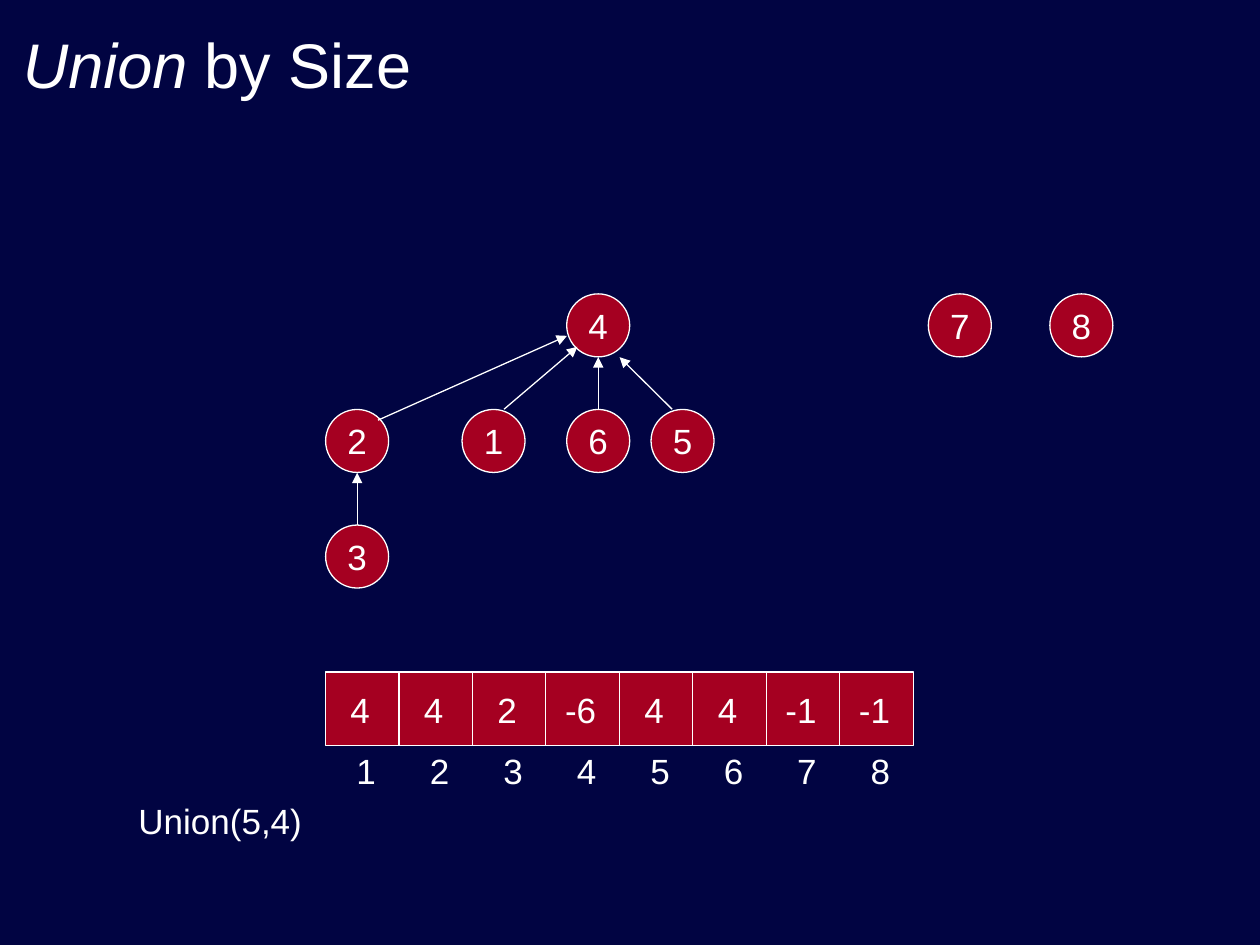
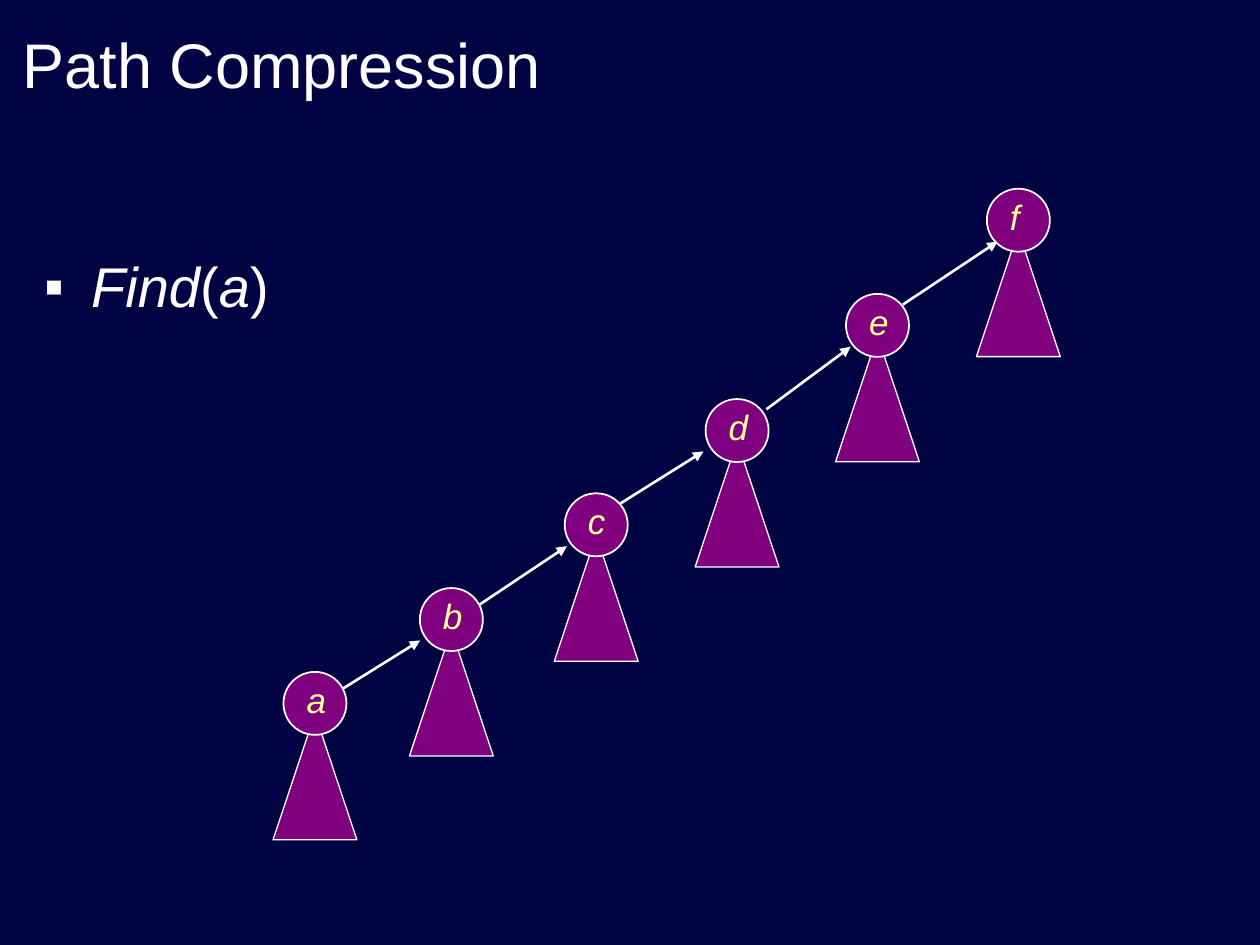
"""Build two slides on disjoint sets: union by size and path compression."""
from lxml import etree
from pptx import Presentation
from pptx.dml.color import RGBColor
from pptx.enum.shapes import MSO_CONNECTOR, MSO_SHAPE
from pptx.enum.text import MSO_ANCHOR, PP_ALIGN
from pptx.oxml.ns import qn
from pptx.util import Cm, Pt

NAVY = RGBColor(0x01, 0x04, 0x42)
WHITE = RGBColor(0xFF, 0xFF, 0xFF)
RED = RGBColor(0xA5, 0x00, 0x21)
PURPLE = RGBColor(0x80, 0x00, 0x80)
YELLOW = RGBColor(0xFF, 0xFF, 0x99)
LEFT, CENTER = PP_ALIGN.LEFT, PP_ALIGN.CENTER
TOP, MIDDLE = MSO_ANCHOR.TOP, MSO_ANCHOR.MIDDLE
OVAL, RECT, TRIANGLE = MSO_SHAPE.OVAL, MSO_SHAPE.RECTANGLE, MSO_SHAPE.ISOSCELES_TRIANGLE
STRAIGHT = MSO_CONNECTOR.STRAIGHT
FONT = "Arial"

UNION_TITLE = [("Union", True), (" by Size", False)]
UNION_CALL = [("Union(5,4)", False)]
FOREST_ROWS = [
    (6.56, {"4": 12.06, "7": 19.35, "8": 21.8}),
    (8.89, {"2": 7.2, "1": 9.95, "6": 12.06, "5": 13.76}),
    (11.22, {"3": 7.2}),
]
FOREST_ARROWS = [
    (12.06, 8.25, 12.06, 7.2),
    (7.2, 10.58, 7.2, 9.53),
    (10.16, 8.25, 11.64, 6.99),
    (7.62, 8.47, 11.43, 6.77),
    (13.55, 8.25, 12.49, 7.2),
]
PARENTS = ["4", "4", "2", "-6", "4", "4", "-1", "-1"]

PATH_TITLE = [("Path Compression", False)]
FIND_CALL = [("Find", True), ("(", False), ("a", True), (")", False)]
PATH_NODES = {
    "a": (6.35, 14.18), "b": (9.1, 12.49), "c": (12.02, 10.58),
    "d": (14.86, 8.68), "e": (17.69, 6.56), "f": (20.53, 4.44),
}
PATH_ARROWS = [
    (6.77, 13.97, 8.47, 12.91),
    (9.53, 12.28, 11.43, 11.01),
    (12.49, 10.16, 14.18, 9.1),
    (15.45, 8.25, 17.15, 6.99),
    (18.2, 6.14, 20.11, 4.87),
]

NODE = 1.27
TREE_W, TREE_H, TREE_DROP = 1.69, 2.54, 0.21
ARRAY_X, ARRAY_Y, ARRAY_W, ARRAY_H = 6.56, 13.55, 11.85, 1.48
INDEX_Y, INDEX_H = 14.97, 1.12


def write(tf, runs, size=20, color=WHITE, align=LEFT, anchor=TOP,
          insets=(0.25, 0.13, 0.25, 0.13), spacing=None, bullet=None):
    """Fill a text frame with (text, italic) runs."""
    tf.word_wrap = True
    tf.vertical_anchor = anchor
    tf.margin_left, tf.margin_top, tf.margin_right, tf.margin_bottom = map(Cm, insets)
    p = tf.paragraphs[0]
    p.alignment = align
    p.line_spacing = spacing
    if bullet:
        pPr = p._p.get_or_add_pPr()
        pPr.set("marL", str(Cm(0.95)))
        pPr.set("indent", str(-Cm(0.95)))
        etree.SubElement(pPr, qn("a:buFont")).set("typeface", FONT)
        etree.SubElement(pPr, qn("a:buChar")).set("char", bullet)
    for text, italic in runs:
        r = p.add_run()
        r.text = text
        r.font.name, r.font.size, r.font.italic = FONT, Pt(size), italic
        r.font.color.rgb = color


def text_box(s, runs, x, y, w, h, **style):
    sp = s.shapes.add_textbox(Cm(x), Cm(y), Cm(w), Cm(h))
    write(sp.text_frame, runs, **style)


def shape(s, kind, x, y, w, h, fill, weight=0.75):
    sp = s.shapes.add_shape(kind, Cm(x), Cm(y), Cm(w), Cm(h))
    sp.shadow.inherit = False
    sp.fill.solid()
    sp.fill.fore_color.rgb = fill
    sp.line.color.rgb = WHITE
    sp.line.width = Pt(weight)
    return sp


def node(s, cx, cy, fill, weight=0.75):
    return shape(s, OVAL, cx - NODE / 2, cy - NODE / 2, NODE, NODE, fill, weight)


def line(s, ends, weight=0.75, head=True):
    c = s.shapes.add_connector(STRAIGHT, *map(Cm, ends))
    c.line.color.rgb = WHITE
    c.line.width = Pt(weight)
    if head:
        etree.SubElement(c.line._get_or_add_ln(), qn("a:tailEnd")).set("type", "triangle")
    etree.SubElement(c._element.spPr, qn("a:effectLst"))


def titled_slide(prs, title):
    s = prs.slides.add_slide(prs.slide_layouts[6])
    text_box(s, title, 0.21, 0, 22.86, 2.54, size=36, anchor=MIDDLE)
    return s


def union_slide(prs):
    s = titled_slide(prs, UNION_TITLE)
    text_box(s, UNION_CALL, 2.54, 16.08, 22.01, 1.06, spacing=0.9)
    centred = dict(align=CENTER, anchor=MIDDLE, insets=(0, 0, 0, 0))
    for cy, row in FOREST_ROWS:
        for label, cx in row.items():
            write(node(s, cx, cy, RED).text_frame, [(label, False)], **centred)
    shape(s, RECT, ARRAY_X, ARRAY_Y, ARRAY_W, ARRAY_H, RED)
    cell_w = ARRAY_W / len(PARENTS)
    for i, parent in enumerate(PARENTS):
        x = ARRAY_X + i * cell_w
        if i:
            line(s, (x, ARRAY_Y, x, ARRAY_Y + ARRAY_H), head=False)
        text_box(s, [(parent, False)], x - 0.04, ARRAY_Y + 0.02, cell_w, ARRAY_H, **centred)
        text_box(s, [(str(i + 1), False)], x + 0.08, INDEX_Y, cell_w, INDEX_H, **centred)
    for ends in FOREST_ARROWS:
        line(s, ends)


def path_slide(prs):
    s = titled_slide(prs, PATH_TITLE)
    text_box(s, FIND_CALL, 0.64, 4.95, 12.22, 2.11, size=32, bullet="▪")
    for ends in PATH_ARROWS:
        line(s, ends, weight=1.5)
    for label, (cx, cy) in PATH_NODES.items():
        shape(s, TRIANGLE, cx - TREE_W / 2, cy + TREE_DROP, TREE_W, TREE_H, PURPLE)
        write(node(s, cx, cy, PURPLE, weight=1).text_frame, [(label, True)],
              color=YELLOW, anchor=MIDDLE, insets=(0.28, 0, 0, 0.16))


def main():
    prs = Presentation()
    prs.slide_width, prs.slide_height = Cm(25.4), Cm(19.05)
    background = prs.slide_master.background.fill
    background.solid()
    background.fore_color.rgb = NAVY
    union_slide(prs)
    path_slide(prs)
    prs.save("out.pptx")


if __name__ == "__main__":
    main()
